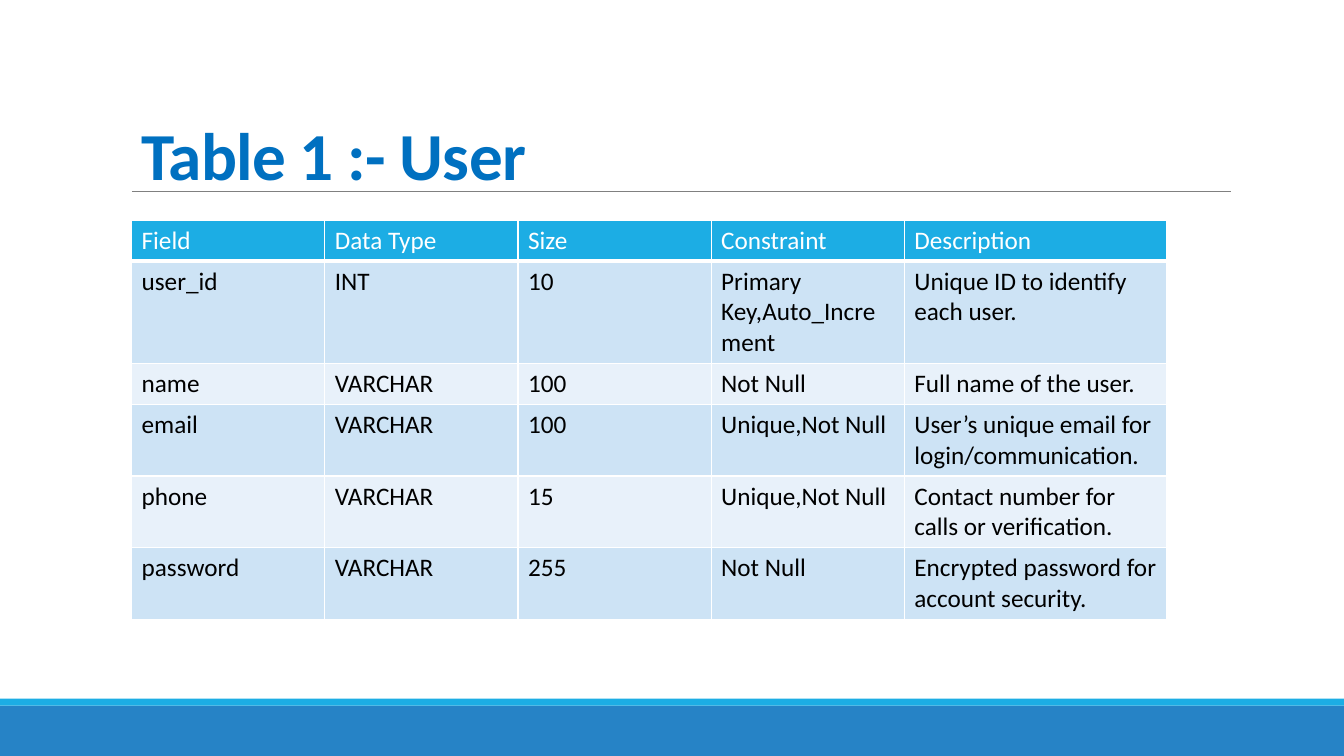
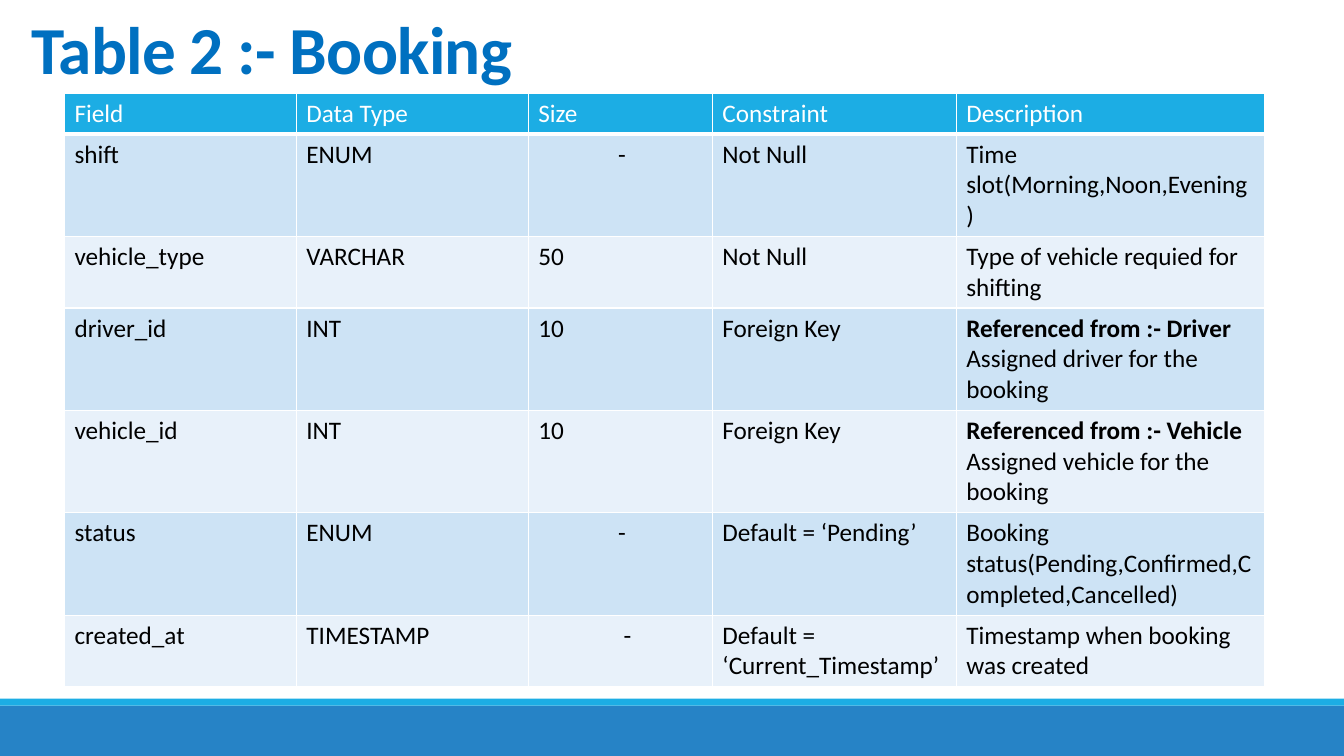
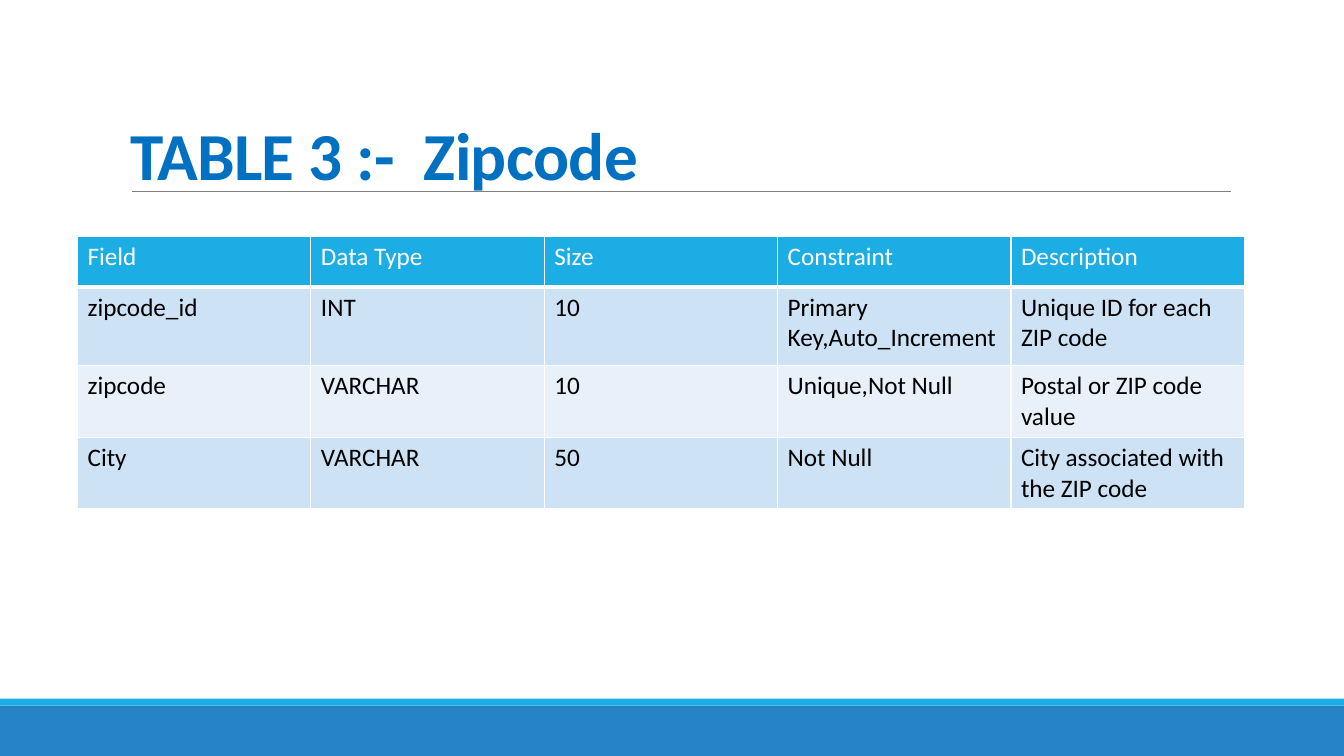
from dataclasses import dataclass

from lxml import etree
from pptx import Presentation
from pptx.dml import color
from pptx.enum import shapes, text
from pptx.oxml import ns
from pptx.util import Pt


def rgb(code):
    """Turn a hex code into a colour."""
    return color.RGBColor.from_string(code)


@dataclass(frozen=True)
class Theme:
    """Colours, type sizes and page measures of the deck."""
    font: str = "Calibri"
    head: int = 48
    body: int = 18
    title: str = "0070C0"
    blue: str = "2683C6"
    cyan: str = "1CADE4"
    rule: str = "808080"
    white: str = "FFFFFF"
    black: str = "000000"
    bands: tuple = ("CDE3F5", "E8F1FA")
    width: int = 960
    height: int = 540


T = Theme()
HEADS = ("Field", "Data Type", "Size", "Constraint", "Description")


def assign(item, **values):
    """Set each named value on an item."""
    for name, value in values.items():
        setattr(item, name, value)


def style(font, size, tone, bold=False):
    """Format a font from the theme."""
    assign(font, name=T.font, size=Pt(size), bold=bold)
    font.color.rgb = rgb(tone)


def place(item, box):
    """Move an item to a box in points."""
    names = ("left", "top", "width", "height")
    assign(item, **dict(zip(names, map(Pt, box))))


def frame(slide, layout):
    """Draw the bands and rule, then hand them to the layout."""
    parts = []
    for top, high, tone in ((504, 36, T.blue), (499, 5, T.cyan)):
        band = slide.shapes.add_shape(
            shapes.MSO_SHAPE.RECTANGLE, 0, Pt(top), Pt(T.width), Pt(high))
        band.shadow.inherit = False
        band.fill.solid()
        band.fill.fore_color.rgb = rgb(tone)
        band.line.fill.background()
        parts.append(band)
    rule = slide.shapes.add_connector(
        shapes.MSO_CONNECTOR.STRAIGHT, Pt(94.3), Pt(136.6), Pt(879), Pt(136.6))
    rule.line.width = Pt(0.5)
    rule.line.color.rgb = rgb(T.rule)
    etree.SubElement(rule.element.spPr, ns.qn("a:effectLst"))
    for part in parts + [rule]:
        layout.element.cSld.spTree.append(part.element)


def heading(slide, box, lead, name, gap):
    """Write the title as a lead and a name set apart by a gap."""
    title = slide.shapes.title
    place(title, box)
    assign(title.text_frame, word_wrap=True, auto_size=text.MSO_AUTO_SIZE.NONE,
           vertical_anchor=text.MSO_ANCHOR.BOTTOM)
    para = title.text_frame.paragraphs[0]
    assign(para, alignment=text.PP_ALIGN.LEFT, line_spacing=0.85)
    for words, space in ((lead, -0.5), (" ", gap), (name, -0.5)):
        run = para.add_run()
        run.text = words
        style(run.font, T.head, T.title, True)
        run._r.get_or_add_rPr().set("spc", str(round(space * 100)))


def edge(cell, base):
    """Draw white borders round a cell."""
    props = cell._tc.get_or_add_tcPr()
    for side, wide in (("L", 1), ("R", 1), ("T", 1), ("B", base)):
        line = etree.SubElement(props, ns.qn("a:ln" + side), w=str(Pt(wide)))
        fill = etree.SubElement(line, ns.qn("a:solidFill"))
        etree.SubElement(fill, ns.qn("a:srgbClr"), val=T.white)


def fill_cell(cell, value, top, tone):
    """Write one cell; a pair holds its words and left indent."""
    words, indent = value if isinstance(value, tuple) else (value, 0)
    edge(cell, 3 if top else 1)
    cell.fill.solid()
    cell.fill.fore_color.rgb = rgb(tone)
    cell.text = words
    paras = cell.text_frame.paragraphs
    for pos, para in enumerate(paras):
        if indent:
            para._p.get_or_add_pPr().set("marL", str(Pt(indent)))
        for run in para.runs:
            style(run.font, T.body, T.white if top else T.black,
                  len(paras) > 1 and pos == 0)


def grid(slide, spot, cols, highs, rows):
    """Place a field table at a spot with given columns and row heights."""
    rows = (HEADS,) + rows
    shape = slide.shapes.add_table(
        len(rows), len(cols), *map(Pt, spot), Pt(sum(cols)), Pt(sum(highs)))
    table = shape.table
    table.horz_banding = False
    for col, wide in zip(table.columns, cols):
        col.width = Pt(wide)
    for pos, (row, high, values) in enumerate(zip(table.rows, highs, rows)):
        row.height = Pt(high)
        tone = T.bands[(pos - 1) % 2] if pos else T.cyan
        for cell, value in zip(row.cells, values):
            fill_cell(cell, value, pos == 0, tone)


USER = (
    ("user_id", "INT", "10", "Primary Key,Auto_Increment",
     "Unique ID to identify each user."),
    ("name", "VARCHAR", "100", "Not Null", "Full name of the user."),
    ("email", "VARCHAR", "100", "Unique,Not Null",
     "User’s unique email for login/communication."),
    ("phone", "VARCHAR", "15", "Unique,Not Null",
     "Contact number for calls or verification."),
    ("password", "VARCHAR", "255", "Not Null",
     "Encrypted password for account security."),
)
BOOKING = (
    ("shift", "ENUM", ("-", 57), "Not Null", "Time slot(Morning,Noon,Evening)"),
    ("vehicle_type", "VARCHAR", "50", "Not Null",
     "Type of vehicle requied for shifting"),
    ("driver_id", "INT", "10", "Foreign Key",
     "Referenced from :- Driver\nAssigned driver for the booking"),
    ("vehicle_id", "INT", "10", "Foreign Key",
     "Referenced from :- Vehicle\nAssigned vehicle for the booking"),
    ("status", "ENUM", ("-", 57), "Default = ‘Pending’",
     "Booking status(Pending,Confirmed,Completed,Cancelled)"),
    ("created_at", "TIMESTAMP", ("-", 61), "Default = ‘Current_Timestamp’",
     "Timestamp when booking was created"),
)
ZIPCODE = (
    ("zipcode_id", "INT", "10", "Primary Key,Auto_Increment",
     "Unique ID for each ZIP code"),
    ("zipcode", "VARCHAR", "10", "Unique,Not Null", "Postal or ZIP code value"),
    ("City", "VARCHAR", "50", "Not Null", "City associated with the ZIP code"),
)
PAGES = (
    (((93.6, 9.4, 894, 133), "Table 1 :-", "User", -0.5),
     ((94, 157.3), (138,) * 4 + (187.6,), (29.2,) * 6, USER)),
    (((15.1, -66.2, 894, 133), "Table 2 :-", "Booking", -0.5),
     ((46.1, 66.5), (165.6, 165.6, 131.6, 174.2, 220), (29.2,) * 7, BOOKING)),
    (((85.7, 9.4, 889, 133), "TABLE 3 :-", "Zipcode", 9.8),
     ((55.4, 169), (166.7,) * 5, (36, 56.2, 36, 36), ZIPCODE)),
)


def main():
    """Build the deck."""
    deck = Presentation()
    assign(deck, slide_width=Pt(T.width), slide_height=Pt(T.height))
    layout = deck.slide_layouts[5]
    for pos, (title, table) in enumerate(PAGES):
        slide = deck.slides.add_slide(layout)
        if pos == 0:
            frame(slide, layout)
        heading(slide, *title)
        grid(slide, *table)
    deck.save("out.pptx")


if __name__ == "__main__":
    main()
